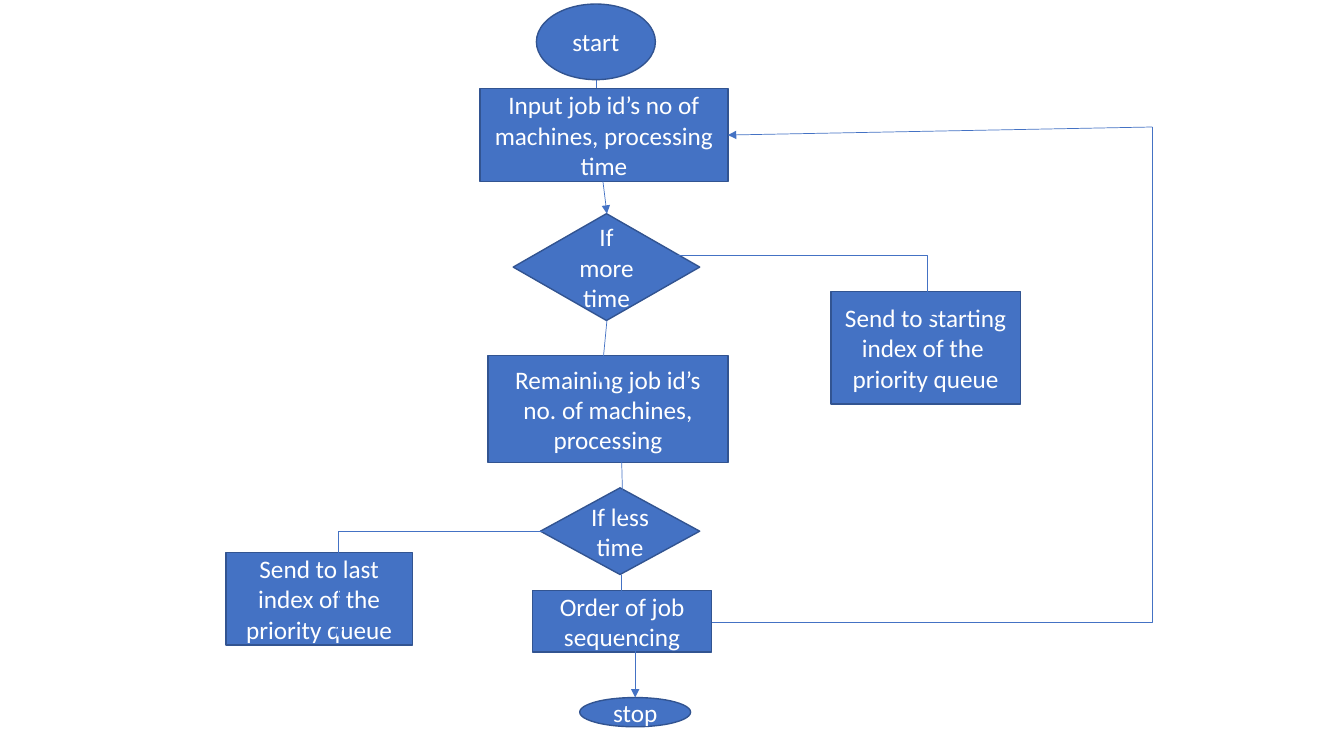
import lxml.etree
import pptx
import pptx.dml.color
import pptx.enum.shapes
import pptx.enum.text
import pptx.oxml.ns
import pptx.util

Inches = pptx.util.Inches
Kind = pptx.enum.shapes.MSO_SHAPE
Link = pptx.enum.shapes.MSO_CONNECTOR
qn = pptx.oxml.ns.qn

BLUE = pptx.dml.color.RGBColor(0x44, 0x72, 0xC4)
DARK_BLUE = pptx.dml.color.RGBColor(0x32, 0x54, 0x91)
WHITE = pptx.dml.color.RGBColor(0xFF, 0xFF, 0xFF)

# Flowchart steps: text, shape, left, top, width, height
STEPS = [
    ("start", Kind.OVAL, 5.32, 0.04, 1.18, 0.75),
    ("Input job id’s no of machines, processing time", Kind.RECTANGLE, 4.76, 0.88, 2.46, 0.92),
    ("If more time", Kind.FLOWCHART_DECISION, 5.09, 2.12, 1.85, 1.06),
    ("Send to starting index of the  priority queue", Kind.RECTANGLE, 8.24, 2.89, 1.88, 1.12),
    ("Remaining job id’s no. of machines, processing", Kind.RECTANGLE, 4.84, 3.53, 2.38, 1.06),
    ("If less time", Kind.FLOWCHART_DECISION, 5.36, 4.84, 1.58, 0.86),
    ("Send to last index of the priority queue", Kind.RECTANGLE, 2.24, 5.48, 1.85, 0.92),
    ("Order of job sequencing", Kind.RECTANGLE, 5.28, 5.86, 1.78, 0.61),
    ("stop", Kind.OVAL, 5.75, 6.92, 1.1, 0.29),
]

# Arrows: start x, start y, end x, end y
START_ARROW = (5.91, 0.79, 5.91, 1.49)
STRAIGHT_ARROWS = [
    (5.98, 1.8, 6.02, 2.12),
    (6.02, 3.18, 5.96, 3.8),
    (6.16, 4.33, 6.18, 5.14),
    (6.3, 6.4, 6.3, 6.92),
    (6.16, 5.7, 6.16, 6.32),
]
# Branches also give the share of the width at which they turn
BRANCH_ARROWS = [
    ((6.49, 2.53, 9.27, 3.15), 97300),
    ((5.75, 5.27, 3.35, 6.32), 99600),
]
# The loop back rises to a joint, from which an arrow enters the input box
LOOP_JOINT = (11.43, 1.26)
LOOP_RISE = (7.06, 6.17, *LOOP_JOINT)
LOOP_RETURN = (*LOOP_JOINT, 7.22, 1.34)


def add_step(page, text, kind, *place):
    box = page.shapes.add_shape(kind, *map(Inches, place))
    box.shadow.inherit = False
    box.fill.solid()
    box.fill.fore_color.rgb = BLUE
    box.line.color.rgb = DARK_BLUE
    box.line.width = pptx.util.Pt(1)
    frame = box.text_frame
    frame.text = text
    frame.word_wrap = True
    frame.vertical_anchor = pptx.enum.text.MSO_ANCHOR.MIDDLE
    para = frame.paragraphs[0]
    para.alignment = pptx.enum.text.PP_ALIGN.CENTER
    font = para.runs[0].font
    font.name = "Calibri"
    font.size = pptx.util.Pt(18)
    font.color.rgb = WHITE


def add_arrow(page, ends, link=Link.STRAIGHT, head=True):
    arrow = page.shapes.add_connector(link, *map(Inches, ends))
    arrow.line.color.rgb = BLUE
    arrow.line.width = pptx.util.Pt(0.5)
    properties = arrow._element.spPr
    if head:
        lxml.etree.SubElement(properties.find(qn("a:ln")), qn("a:tailEnd"), type="triangle")
    lxml.etree.SubElement(properties, qn("a:effectLst"))
    return properties.find(qn("a:prstGeom"))


deck = pptx.Presentation()
deck.slide_width, deck.slide_height = Inches(13.33), Inches(7.5)
page = deck.slides.add_slide(deck.slide_layouts[6])

# The first arrow runs behind the input box
add_arrow(page, START_ARROW)
for step in STEPS:
    add_step(page, *step)

# Remaining arrows lie over the boxes
for ends in STRAIGHT_ARROWS:
    add_arrow(page, ends)
for ends, turn in BRANCH_ARROWS:
    geometry = add_arrow(page, ends, Link.ELBOW)
    guides = geometry.get_or_add_avLst()
    lxml.etree.SubElement(guides, qn("a:gd"), name="adj1", fmla=f"val {turn}")

# Loop back: a rise with a single corner, then the arrow into the input box
add_arrow(page, LOOP_RISE, Link.ELBOW, head=False).set("prst", "bentConnector2")
add_arrow(page, LOOP_RETURN)

deck.save("out.pptx")
